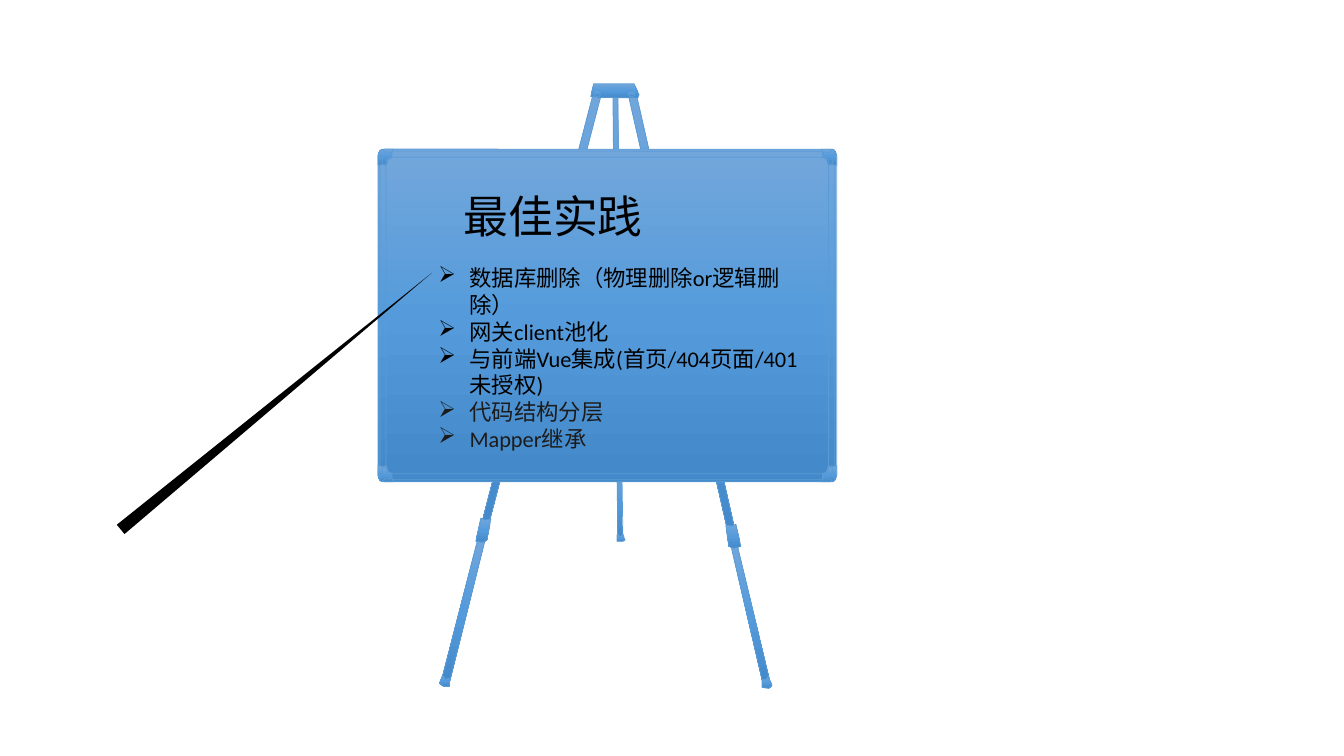
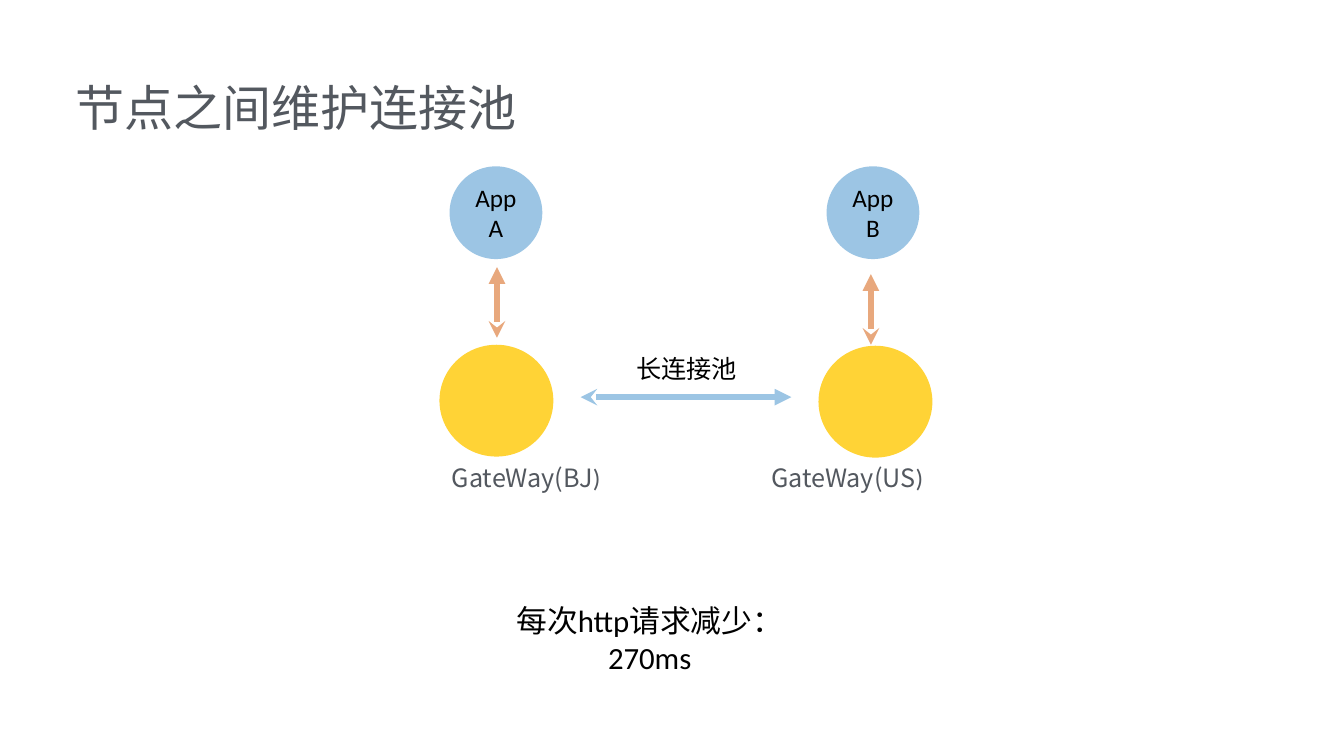
from copy import deepcopy
from itertools import product

from lxml import etree
from pptx import Presentation
from pptx import util as u
from pptx.dml.color import RGBColor
from pptx.enum import shapes, text
from pptx.oxml.ns import qn

CELL = u.Inches(0.1)  # the grid has square cells
COLS, ROWS = 133.33, 75
FONT, CJK = "Calibri", "Noto Sans CJK SC"
PAD = 0.6
HEX = {
    "ink": "000000", "soft": "1C1C1C", "grey": "53585F",
    "app": "9CC5E4", "gateway": "FFD336", "call": "E8A87D",
    "edge": "5B9BD5", "light": "71A6DB", "mid": "559BDB", "dark": "448ACA",
}
SHAPE, ALIGN, ANCHOR = shapes.MSO_SHAPE, text.PP_ALIGN, text.MSO_ANCHOR


def cells(*lengths):
    return [round(n * CELL) for n in lengths]


def rgb(name):
    return RGBColor.from_string(HEX[name])


def add_text(holder, paras, size, color="ink", font=FONT, align=ALIGN.LEFT,
             anchor=ANCHOR.TOP, pad=None, wrap=True, bullet=None):
    """Each paragraph is a list of runs: (text, overrides of color and font)."""
    tf = holder.text_frame
    tf.word_wrap, tf.vertical_anchor = wrap, anchor
    if pad is not None:
        tf.margin_left = tf.margin_top = tf.margin_right = tf.margin_bottom = cells(pad)[0]
    for i, runs in enumerate(paras):
        p = tf.add_paragraph() if i else tf.paragraphs[0]
        p.alignment = align
        if bullet:
            pPr = p._p.get_or_add_pPr()
            indent = cells(3.1)[0]
            pPr.set("marL", str(indent))
            pPr.set("indent", str(-indent))
            etree.SubElement(pPr, qn("a:buChar")).set("char", bullet)
        for words, own in runs:
            r = p.add_run()
            r.text = words
            r.font.size = u.Pt(size)
            r.font.name = own.get("font", font)
            r.font.color.rgb = rgb(own.get("color", color))
            etree.SubElement(r._r.get_or_add_rPr(), qn("a:ea")).set("typeface", CJK)


class Deck:
    def __init__(self):
        self.prs = Presentation()
        self.prs.slide_width, self.prs.slide_height = cells(COLS, ROWS)
        self.s = None

    def slide(self):
        self.s = self.prs.slides.add_slide(self.prs.slide_layouts[6])

    def shape(self, kind, x, y, w, h, fill=None, turn=0):
        """Without a fill the shape gets the easel's gradient."""
        sp = self.s.shapes.add_shape(kind, *cells(x, y, w, h))
        sp.rotation = turn
        self.paint(sp, fill)
        return sp

    def polygon(self, points):
        start, *rest = [cells(*pt) for pt in points]
        fb = self.s.shapes.build_freeform(*start)
        fb.add_line_segments(rest, close=True)
        self.paint(fb.convert_to_shape())

    def paint(self, sp, fill=None):
        sp.shadow.inherit = False
        if fill:
            sp.fill.solid()
            sp.fill.fore_color.rgb = rgb(fill)
            sp.line.fill.background()
            return
        sp.fill.gradient()
        sp.fill.gradient_angle = 270
        stops = sp._element.spPr.find(qn("a:gradFill")).find(qn("a:gsLst"))
        stops.append(deepcopy(stops[-1]))
        for stop, place, name in zip(sp.fill.gradient_stops, (0, 0.5, 1),
                                     ("light", "mid", "dark")):
            stop.position, stop.color.rgb = place, rgb(name)
        sp.line.color.rgb = rgb("edge")
        sp.line.width = u.Pt(0.5)

    def text(self, x, y, w, h, paras, **fmt):
        add_text(self.s.shapes.add_textbox(*cells(x, y, w, h)), paras, **fmt)

    def label(self, x, y, w, h, paras, **fmt):
        """One unwrapped text, centred in its box."""
        self.text(x, y, w, h, paras, **{"align": ALIGN.CENTER, "anchor": ANCHOR.MIDDLE,
                                        "pad": PAD, "wrap": False, **fmt})

    def arrow(self, x1, y1, x2, y2, color):
        ln = self.s.shapes.add_connector(shapes.MSO_CONNECTOR.STRAIGHT, *cells(x1, y1, x2, y2))
        ln.line.color.rgb = rgb(color)
        ln.line.width = u.Pt(4)
        for end, kind in (("a:headEnd", "triangle"), ("a:tailEnd", "stealth")):
            etree.SubElement(ln.line._get_or_add_ln(), qn(end)).set("type", kind)
        etree.SubElement(ln._element.spPr, qn("a:effectLst"))


LEGS = [
    [(61.2, 46.3), (61.7, 46.3), (61.8, 53.3), (61.3, 53.3)],
    [(61.3, 53), (61.5, 53.3), (61.8, 53), (62, 53.6), (61.8, 53.7), (61.2, 53.7), (61.2, 53.1)],
    [(47.5, 53.1), (48.2, 53.3), (44.6, 67.7), (43.8, 67.5)],
    [(72.5, 54.1), (73.1, 53.9), (76.4, 67.7), (75.7, 67.9)],
    [(43.9, 67), (44.2, 67.4), (44.6, 67.3), (44.6, 68.1), (44, 68.1), (43.6, 67.8)],
    [(75.6, 67.4), (76, 67.4), (76.2, 67.1), (76.6, 68), (76.3, 68.3), (75.6, 68.2)],
    [(58.9, 9.1), (59.7, 9.2), (48.2, 53.1), (47.5, 53)],
    [(62.3, 9.3), (63.1, 9.2), (73.1, 53.4), (72.4, 53.6)],
    [(60.8, 9), (61.3, 9), (61.6, 40.9), (61.1, 40.9)],
    [(58.6, 9.6), (58.9, 8.3), (62.9, 8.3), (63.4, 9.4), (63.3, 9.7), (61.1, 9.7)],
]
RIVETS = [(58.9, 9, 0.7, 0.6), (62.3, 9.1, 0.7, 0.5)]
CLAMPS = [
    [(72, 52.1), (72.6, 52.2), (73, 52), (73.5, 54.2), (72.8, 54.4), (72.3, 54.2)],
    [(48.7, 51.5), (48.1, 51.6), (47.7, 51.4), (47.2, 53.7), (47.9, 53.8), (48.3, 53.6)],
]
BOARD = (37.5, 14.8, 45.5, 33)
# clasp outlines, measured inwards from a corner of the board
CLASPS = [
    [(1.4, 0.3), (1.4, 0.8), (1, 1), (0.8, 1.6), (0.5, 1.5), (0, 1.6), (0, 0.6),
     (0.2, 0.1), (0.6, 0), (1.5, 0)],
    [(1.3, 0.3), (1.3, 0.8), (0.9, 0.9), (0.8, 1.4), (0.4, 1.4), (0.5, 0.8),
     (0.1, 0.3), (0.4, 0), (0.7, 0.3)],
]


def easel(d):
    for leg in LEGS:
        d.polygon(leg)
    for rivet in RIVETS:
        d.shape(SHAPE.OVAL, *rivet)
    for clamp in CLAMPS:
        d.polygon(clamp)
    x, y, w, h = BOARD
    for inset in (0, 0.2, 0.8):
        sp = d.shape(SHAPE.ROUNDED_RECTANGLE, x + inset, y + inset, w - 2 * inset, h - 2 * inset)
        sp.adjustments[0] = 0.02
    for clasp, (right, low) in product(CLASPS, product((0, 1), repeat=2)):
        d.polygon([(x + w - dx if right else x + dx, y + h - dy if low else y + dy)
                   for dx, dy in clasp])


def practices(d):
    d.slide()
    easel(d)
    d.text(45, 18.2, 30.8, 6.4, [[("最佳实践", {})]], size=32)
    items = [("数据库删除（物理删除or逻辑删除）", "ink"), ("网关client池化", "ink"),
             ("与前端Vue集成(首页/404页面/401未授权)", "ink"),
             ("代码结构分层", "soft"), ("Mapper继承", "soft")]
    d.text(42.5, 25.7, 38.3, 17.2, [[(t, {"color": c})] for t, c in items],
           size=16, bullet="➢")
    d.shape(SHAPE.ISOSCELES_TRIANGLE, 26.8, 19.8, 1.2, 40, "ink", turn=50.5)


def pool(d):
    d.slide()
    d.label(6.9, 6.7, 45, 7.9, [[("节点之间维护连接池", {})]], size=35, color="grey")
    nodes = [("A", "BJ", 44.6, 43.6, 34.2, 49.3, 26.5, 44.1, 16.2),
             ("B", "US", 82, 81.2, 34.3, 86.4, 27.2, 75.7, 16.7)]
    for app, city, app_x, gate_x, gate_y, call_x, call_y, name_x, name_w in nodes:
        d.shape(SHAPE.OVAL, gate_x, gate_y, 11.3, 11.1, "gateway")
        sp = d.shape(SHAPE.OVAL, app_x, 16.5, 9.2, 9.2, "app")
        add_text(sp, [[("App" + app, {})]], size=18, align=ALIGN.CENTER,
                 anchor=ANCHOR.MIDDLE, pad=PAD)
        d.arrow(call_x, call_y, call_x, call_y + 7, "call")
        d.label(name_x, 45.3, name_w, 4.2, [[("GateWay(" + city, {}), (")", {"font": FONT})]],
                size=18, color="grey", font=CJK)
    d.arrow(78.5, 39.4, 57.6, 39.4, "app")
    d.label(62.5, 34.3, 11.3, 4.6, [[("长连接池", {})]], size=18, align=ALIGN.LEFT)
    d.label(45.9, 60.7, 37.1, 5.3, [[("每次http请求减少：", {})], [("270ms", {})]], size=22)


def main():
    d = Deck()
    practices(d)
    pool(d)
    d.prs.save("out.pptx")


if __name__ == "__main__":
    main()
